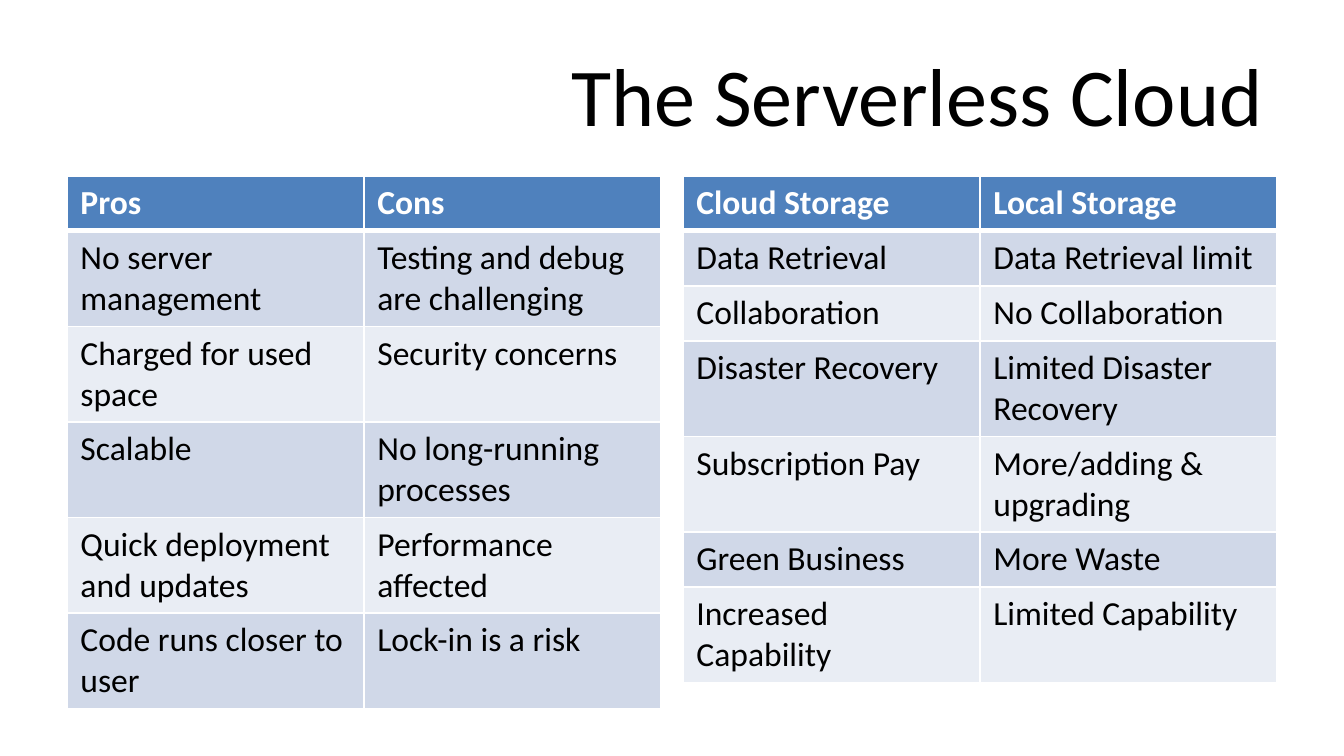
import lxml.etree
import pptx
import pptx.dml.color
import pptx.enum.text
import pptx.oxml.ns
import pptx.util

SCALE = 914400 / 134.4  # EMU per px
WIDTH, HEIGHT = 1344, 756
FONT = "Calibri"
WHITE, BLACK, HEADER = "FFFFFF", "000000", "4F81BD"
BANDS = ["D0D8E8", "E9EDF4"]

SERVERLESS = [
    ("Pros", "Cons"),
    ("No server management", "Testing and debug are challenging"),
    ("Charged for used space", "Security concerns"),
    ("Scalable", "No long-running processes"),
    ("Quick deployment and updates", "Performance affected"),
    ("Code runs closer to user", "Lock-in is a risk"),
]
STORAGE = [
    ("Cloud Storage", "Local Storage"),
    ("Data Retrieval", "Data Retrieval limit"),
    ("Collaboration", "No Collaboration"),
    ("Disaster Recovery", "Limited Disaster Recovery"),
    ("Subscription Pay", "More/adding & upgrading"),
    ("Green Business", "More Waste"),
    ("Increased Capability", "Limited Capability"),
]


def px(n):
    return pptx.util.Emu(round(n * SCALE))


def rgb(value):
    return pptx.dml.color.RGBColor.from_string(value)


def format_text(tf, size, color, bold=False):
    for p in tf.paragraphs:
        for r in p.runs:
            r.font.name = FONT
            r.font.size = pptx.util.Pt(size)
            r.font.bold = bold
            r.font.color.rgb = rgb(color)


def set_borders(cell, top, bottom):
    """Draw white borders; top and bottom widths are in points."""
    tc_pr = cell._tc.get_or_add_tcPr()
    qn = pptx.oxml.ns.qn
    widths = {"a:lnL": 1, "a:lnR": 1, "a:lnT": top, "a:lnB": bottom}
    for i, (tag, width) in enumerate(widths.items()):
        ln = lxml.etree.Element(qn(tag), w=str(pptx.util.Pt(width)))
        fill = lxml.etree.SubElement(ln, qn("a:solidFill"))
        lxml.etree.SubElement(fill, qn("a:srgbClr"), val=WHITE)
        tc_pr.insert(i, ln)


def add_title(slide, text, x, y, w, h):
    sp = slide.shapes.title
    sp.left, sp.top, sp.width, sp.height = map(px, (x, y, w, h))
    tf = sp.text_frame
    tf.text = text
    tf.vertical_anchor = pptx.enum.text.MSO_ANCHOR.MIDDLE
    tf.paragraphs[0].alignment = pptx.enum.text.PP_ALIGN.RIGHT
    format_text(tf, 44, BLACK)


def add_comparison(slide, rows, x, y, w, row_h):
    """Place a two-column table with a header and banded rows."""
    frame = slide.shapes.add_table(
        len(rows), len(rows[0]), px(x), px(y), px(w), px(row_h * len(rows)))
    table = frame.table
    for i, row in enumerate(rows):
        table.rows[i].height = px(row_h)
        for j, text in enumerate(row):
            cell = table.cell(i, j)
            is_header = i == 0
            cell.fill.solid()
            cell.fill.fore_color.rgb = rgb(HEADER if is_header else BANDS[(i - 1) % 2])
            set_borders(cell, top=3 if i == 1 else 1, bottom=3 if is_header else 1)
            cell.text_frame.text = text
            format_text(cell.text_frame, 18, WHITE if is_header else BLACK, is_header)


def main():
    prs = pptx.Presentation()
    prs.slide_width, prs.slide_height = px(WIDTH), px(HEIGHT)
    slide = prs.slides.add_slide(prs.slide_layouts[5])

    # Title
    margin = 67
    add_title(slide, "The Serverless Cloud", margin, 31, WIDTH - 2 * margin, 126)

    # Two tables side by side
    table_w = 594
    right_x = WIDTH - margin - table_w
    for rows, x in ((STORAGE, right_x), (SERVERLESS, margin)):
        add_comparison(slide, rows, x, 176, table_w, 55)

    prs.save("out.pptx")


if __name__ == "__main__":
    main()
